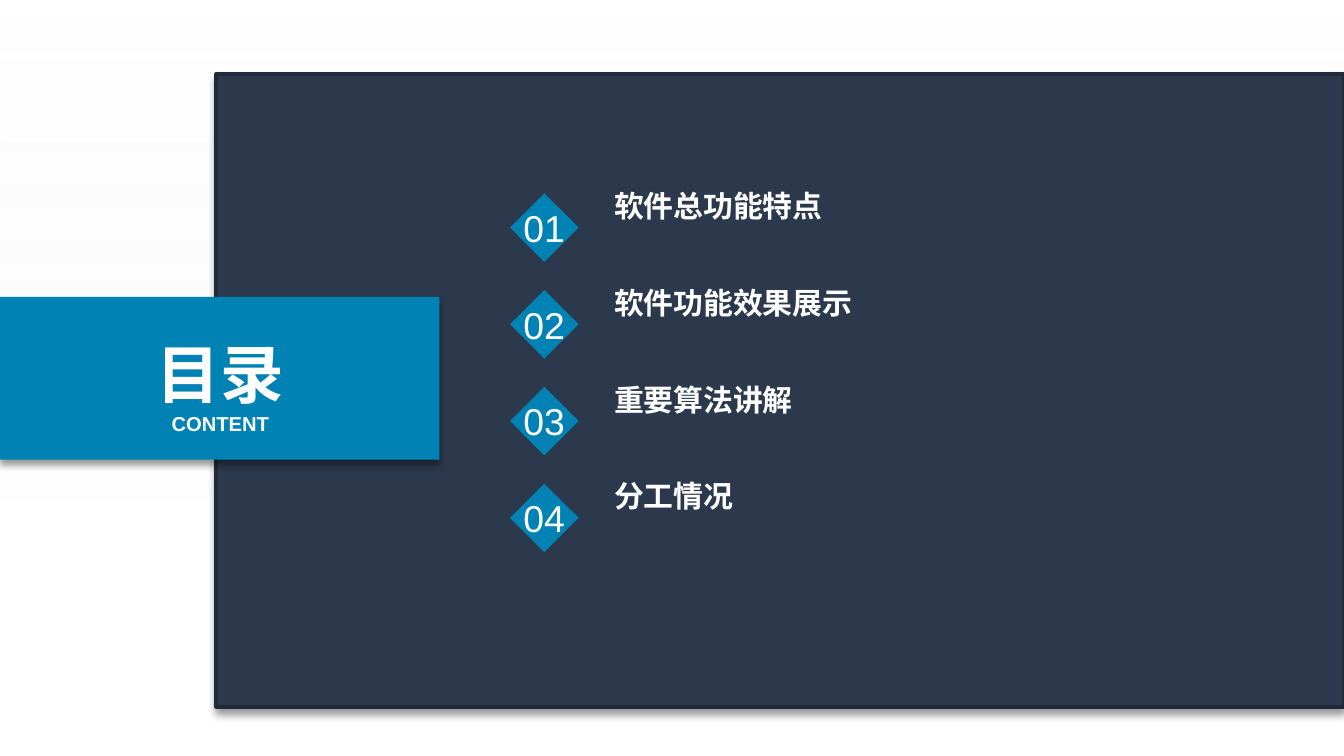
from dataclasses import dataclass

from lxml.etree import SubElement
from pptx import Presentation
from pptx.dml.color import RGBColor
from pptx.enum.shapes import MSO_SHAPE
from pptx.enum.text import MSO_ANCHOR, PP_ALIGN
from pptx.oxml.ns import qn
from pptx.shapes.autoshape import Shape
from pptx.util import Emu, Inches, Pt

# The slide is a grid of square cells: 100 columns by 56.25 rows (16:9).
COLUMNS, ROWS = 100, 56.25
CELL = Inches(10) / COLUMNS

WHITE, PALE, BLACK = "FFFFFF", "F2F2F2", "000000"
NAVY, NAVY_EDGE, BLUE = "2C394C", "212A38", "0083B4"
FONT = "Arial"


@dataclass(frozen=True)
class Area:
    column: float
    row: float
    columns: float
    rows: float

    def emu(self) -> list[Emu]:
        return [cells(n) for n in (self.column, self.row, self.columns, self.rows)]


@dataclass(frozen=True)
class Topic:
    number: str
    title: str


TOPICS = [
    Topic("01", "软件总功能特点"),
    Topic("02", "软件功能效果展示"),
    Topic("03", "重要算法讲解"),
    Topic("04", "分工情况"),
]
FIRST_ROW, ROW_STEP = 14.38, 7.2


def cells(count: float) -> Emu:
    return Emu(round(count * CELL))


def color(value: str) -> RGBColor:
    return RGBColor.from_string(value)


def add_block(shapes, kind: MSO_SHAPE, area: Area, fill: str) -> Shape:
    block = shapes.add_shape(kind, *area.emu())
    block.shadow.inherit = False
    block.fill.solid()
    block.fill.fore_color.rgb = color(fill)
    block.line.fill.background()
    return block


def add_shadow(block: Shape) -> None:
    """Cast a soft shadow straight down."""
    effects = block._element.spPr.find(qn("a:effectLst"))
    shadow = SubElement(effects, qn("a:outerShdw"), blurRad=str(Pt(4)),
                        dist=str(Pt(3)), dir="5400000", algn="t", rotWithShape="0")
    tint = SubElement(shadow, qn("a:srgbClr"), val=BLACK)
    SubElement(tint, qn("a:alpha"), val="40000")


def add_backdrop(shapes) -> None:
    """Cover the slide with a faint gradient that fades out downwards."""
    backdrop = add_block(shapes, MSO_SHAPE.RECTANGLE, Area(0, 0, COLUMNS, ROWS), WHITE)
    backdrop.fill.gradient()
    backdrop.fill.gradient_angle = 270
    looks = [(0, WHITE, 55), (0.71, PALE, 0)]
    for stop, (position, tint, opacity) in zip(backdrop.fill.gradient_stops, looks):
        stop.position = position
        stop.color.rgb = color(tint)
        SubElement(stop._gs[0], qn("a:alpha"), val=str(opacity * 1000))


def write(box: Shape, text: str, *, size: float, bold: bool = False,
          align: PP_ALIGN = PP_ALIGN.CENTER, anchor: MSO_ANCHOR = MSO_ANCHOR.MIDDLE,
          indent: float = 0) -> None:
    frame = box.text_frame
    frame.word_wrap = False
    frame.vertical_anchor = anchor
    frame.margin_left = cells(indent)
    frame.margin_top = frame.margin_right = frame.margin_bottom = 0
    para = frame.paragraphs[0]
    para.alignment = align
    span = para.add_run()
    span.text = text
    span.font.name = FONT
    span.font.size = Pt(size)
    span.font.bold = bold
    span.font.color.rgb = color(WHITE)


def add_panel(shapes) -> None:
    panel = add_block(shapes, MSO_SHAPE.RECTANGLE, Area(16.1, 5.5, 83.9, 47.1), NAVY)
    panel.line.color.rgb = color(NAVY_EDGE)
    panel.line.width = Pt(2)
    add_shadow(panel)


def add_topic(shapes, topic: Topic, row: float) -> None:
    group = shapes.add_group_shape().shapes
    badge = add_block(group, MSO_SHAPE.DIAMOND, Area(37.95, row, 5.1, 5.1), BLUE)
    write(badge, topic.number, size=20)
    title = group.add_textbox(*Area(41.8, row + 0.25, 32.5, 2).emu())
    write(title, topic.title, size=16, bold=True, align=PP_ALIGN.LEFT,
          anchor=MSO_ANCHOR.BOTTOM, indent=3.9)


def add_heading(shapes) -> None:
    group = shapes.add_group_shape().shapes
    banner = add_block(group, MSO_SHAPE.RECTANGLE, Area(0, 22.1, 32.7, 12.1), BLUE)
    add_shadow(banner)
    for text, size, row, rows in [("目录", 34.1, 24.6, 6.3), ("CONTENT", 10.8, 30.25, 2.5)]:
        box = group.add_textbox(*Area(10.6, row, 11.6, rows).emu())
        write(box, text, size=size, bold=True)


def main() -> None:
    deck = Presentation()
    deck.slide_width, deck.slide_height = cells(COLUMNS), cells(ROWS)
    page = deck.slides.add_slide(deck.slide_layouts[6])
    add_backdrop(page.shapes)
    add_panel(page.shapes)
    for index, topic in enumerate(TOPICS):
        add_topic(page.shapes, topic, FIRST_ROW + index * ROW_STEP)
    add_heading(page.shapes)
    deck.save("out.pptx")


if __name__ == "__main__":
    main()
